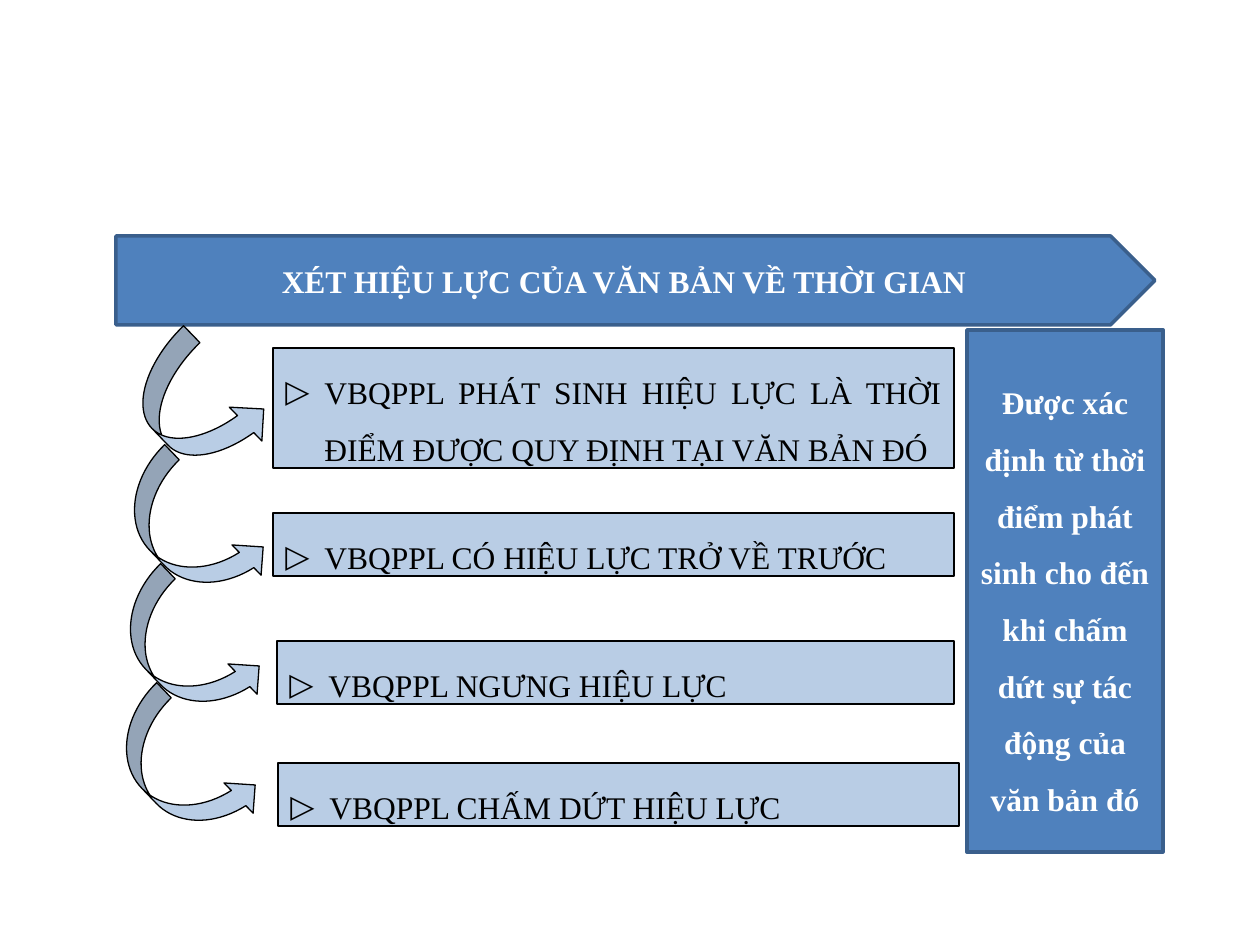
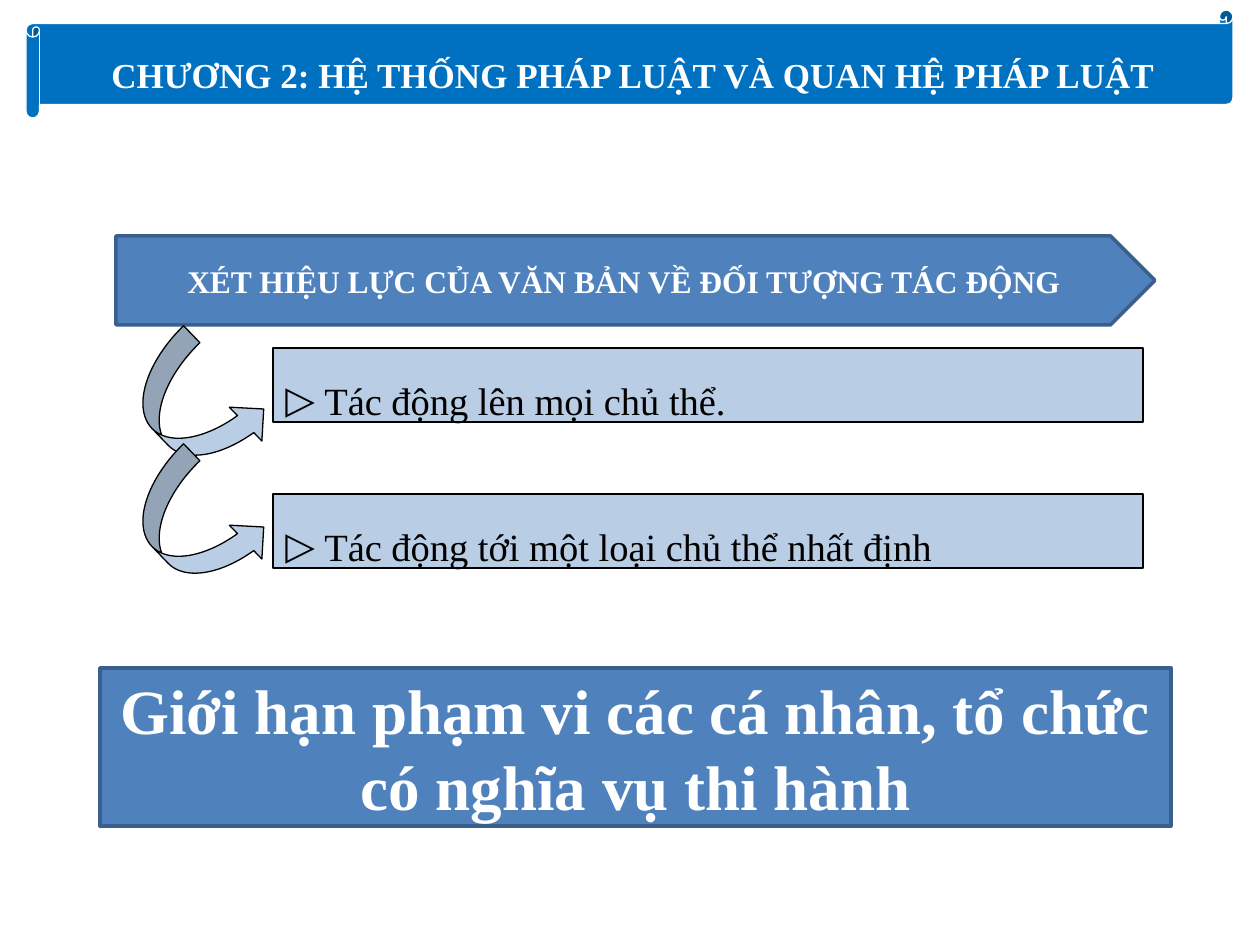
from dataclasses import dataclass

from lxml import etree
from pptx import Presentation
from pptx.dml.color import RGBColor
from pptx.enum.shapes import MSO_SHAPE
from pptx.enum.text import MSO_ANCHOR, MSO_AUTO_SIZE, PP_ALIGN
from pptx.oxml.ns import qn
from pptx.util import Pt

PENTAGON, RECT = MSO_SHAPE.PENTAGON, MSO_SHAPE.RECTANGLE
SCROLL, CURVED = MSO_SHAPE.HORIZONTAL_SCROLL, MSO_SHAPE.CURVED_RIGHT_ARROW
MIDDLE, TOP = MSO_ANCHOR.MIDDLE, MSO_ANCHOR.TOP
CENTER, JUSTIFY = PP_ALIGN.CENTER, PP_ALIGN.JUSTIFY
GROW = MSO_AUTO_SIZE.SHAPE_TO_FIT_TEXT


@dataclass(frozen=True)
class Theme:
    font: str = "Times New Roman"
    blue: str = "4F81BD"
    blue_edge: str = "3A5F8C"
    pale: str = "B9CDE5"
    banner: str = "0070C0"
    white: str = "FFFFFF"
    black: str = "000000"
    thick: float = 2
    thin: float = 0.75
    body: int = 18
    chapter: int = 20
    item: int = 22
    scope: int = 36


T = Theme()
PX = 914400 / 126
INDENT = 39
TURN = 316.1


def write(shape, text, size=T.body, color=T.white, bold=True, align=CENTER,
          anchor=MIDDLE, spacing=1.0, bullet=None):
    frame = shape.text_frame
    frame.word_wrap = True
    frame.vertical_anchor = anchor
    para = frame.paragraphs[0]
    para.alignment = align
    para.line_spacing = spacing
    if bullet:
        frame.auto_size = GROW
        props = para._p.get_or_add_pPr()
        props.set("marL", str(round(INDENT * PX)))
        props.set("indent", str(round(-INDENT * PX)))
        etree.SubElement(props, qn("a:buFont"), typeface=T.font)
        etree.SubElement(props, qn("a:buChar"), char=bullet)
    run = para.add_run()
    run.text = text
    run.font.name = T.font
    run.font.size = Pt(size)
    run.font.bold = bold
    run.font.color.rgb = RGBColor.from_string(color)


def draw(slide, kind, box, fill, edge, weight, turn=0):
    shape = slide.shapes.add_shape(kind, *[round(v * PX) for v in box])
    shape.shadow.inherit = False
    shape.fill.solid()
    shape.fill.fore_color.rgb = RGBColor.from_string(fill)
    shape.line.color.rgb = RGBColor.from_string(edge)
    shape.line.width = Pt(weight)
    shape.rotation = turn
    return shape


prs = Presentation()
prs.slide_width, prs.slide_height = round(1260 * PX), round(945 * PX)
title_only = prs.slide_layouts[5]

# What differs between the slides: title, items, arrows, conclusion
pages = [
    dict(
        title="XÉT HIỆU LỰC CỦA VĂN BẢN VỀ THỜI GIAN",
        item_size=T.body,
        items=[
            ((273, 348, 681, 120),
             "VBQPPL PHÁT SINH HIỆU LỰC LÀ THỜI ĐIỂM ĐƯỢC QUY ĐỊNH TẠI VĂN BẢN ĐÓ"),
            ((273, 513, 681, 63), "VBQPPL CÓ HIỆU LỰC TRỞ VỀ TRƯỚC"),
            ((277, 641, 677, 63), "VBQPPL NGƯNG HIỆU LỰC"),
            ((278, 763, 681, 63), "VBQPPL CHẤM DỨT HIỆU LỰC"),
        ],
        arrows=[(151, 339, 94, 139)]
        + [(149 - 4 * i, 451 + 119 * i, 84, 163) for i in range(3)],
        conclusion=((967, 330, 196, 522),
                    "Được xác định từ thời điểm phát sinh cho đến khi chấm dứt "
                    "sự tác động của văn bản đó", T.body, 1.5),
    ),
    dict(
        chapter="CHƯƠNG 2: HỆ THỐNG PHÁP LUẬT VÀ QUAN HỆ PHÁP LUẬT",
        title="XÉT HIỆU LỰC CỦA VĂN BẢN VỀ ĐỐI TƯỢNG TÁC ĐỘNG",
        item_size=T.item,
        items=[
            ((273, 348, 870, 74), "Tác động lên mọi chủ thể."),
            ((273, 494, 870, 74), "Tác động tới một loại chủ thể nhất định"),
        ],
        arrows=[(151, 339 + 118 * i, 94, 139) for i in range(2)],
        conclusion=((100, 668, 1071, 158),
                    "Giới hạn phạm vi các cá nhân, tổ chức có nghĩa vụ thi hành",
                    T.scope, 1.0),
    ),
]

for page in pages:
    slide = prs.slides.add_slide(title_only)

    # Chapter banner
    if "chapter" in page:
        banner = draw(slide, SCROLL, (26, 10, 1207, 108), T.banner, T.white, T.thin)
        write(banner, page["chapter"], size=T.chapter, spacing=1.5)

    # Title on its pointed band
    draw(slide, PENTAGON, (116, 236, 1039, 89), T.blue, T.blue_edge, T.thick)
    title = slide.shapes.title
    title.left, title.top, title.width, title.height = [
        round(v * PX) for v in (116, 236, 1016, 89)]
    write(title, page["title"])
    slide.shapes._spTree.append(title._element)

    # Items and the arrows that lead to them
    for box, text in page["items"]:
        item = draw(slide, RECT, box, T.pale, T.black, T.thin)
        write(item, text, size=page["item_size"], color=T.black, bold=False,
              align=JUSTIFY, anchor=TOP, spacing=1.5, bullet="▷")
    for box in page["arrows"]:
        draw(slide, CURVED, box, T.pale, T.black, T.thin, turn=TURN)

    # Conclusion
    box, text, size, spacing = page["conclusion"]
    conclusion = draw(slide, RECT, box, T.blue, T.blue_edge, T.thick)
    write(conclusion, text, size=size, spacing=spacing)

prs.save("out.pptx")
